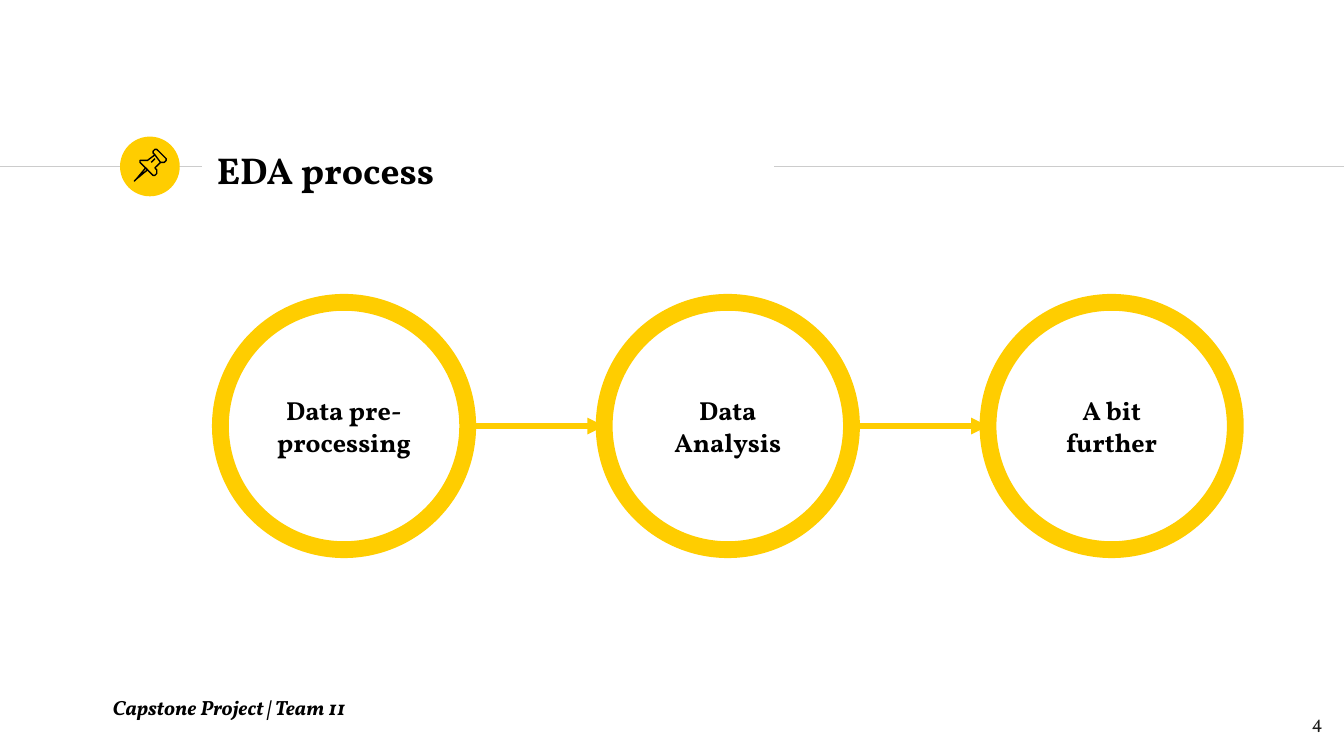
from dataclasses import dataclass

from lxml import etree
from pptx import Presentation
from pptx import util as u
from pptx.dml.color import RGBColor
from pptx.enum import shapes, text
from pptx.oxml.ns import qn

Pt = u.Pt
FONT = "Vollkorn"
COLOURS = {"accent": "FFCD00", "rule": "CCCCCC", "ink": "000000", "number": "1D1D1B"}


@dataclass
class Style:
    size: float
    colour: str = "ink"
    bold: bool = True
    italic: bool = False
    align: text.PP_ALIGN = text.PP_ALIGN.LEFT
    anchor: text.MSO_ANCHOR = text.MSO_ANCHOR.MIDDLE
    space_before: float = 0


@dataclass
class Outline:
    points: list[tuple[float, float]]
    closed: bool = True


def colour(name: str) -> RGBColor:
    return RGBColor.from_string(COLOURS[name])


def write(box, words: str, style: Style) -> None:
    frame = box.text_frame
    frame.word_wrap = True
    frame.auto_size = text.MSO_AUTO_SIZE.NONE
    frame.vertical_anchor = style.anchor
    frame.margin_left = frame.margin_right = Pt(7.2)
    frame.margin_top = frame.margin_bottom = Pt(7.2)
    para = frame.paragraphs[0]
    para.alignment = style.align
    para.space_before = Pt(style.space_before)
    span = para.add_run()
    span.text = words
    span.font.name = FONT
    span.font.size = Pt(style.size)
    span.font.bold = style.bold
    span.font.italic = style.italic
    span.font.color.rgb = colour(style.colour)


def add_text(page, left: float, top: float, width: float, height: float,
             words: str, style: Style) -> None:
    box = page.shapes.add_textbox(Pt(left), Pt(top), Pt(width), Pt(height))
    write(box, words, style)


def add_line(page, start: float, end: float, y: float, name: str,
             weight: float, arrow: bool = False) -> None:
    line = page.shapes.add_connector(
        shapes.MSO_CONNECTOR.STRAIGHT, Pt(start), Pt(y), Pt(end), Pt(y))
    line.line.color.rgb = colour(name)
    line.line.width = Pt(weight)
    if arrow:
        etree.SubElement(line.line._get_or_add_ln(), qn("a:tailEnd"), type="triangle")
    etree.SubElement(line._element.spPr, qn("a:effectLst"))


def add_circle(page, left: float, top: float, size: float):
    circle = page.shapes.add_shape(
        shapes.MSO_SHAPE.OVAL, Pt(left), Pt(top), Pt(size), Pt(size))
    circle.shadow.inherit = False
    return circle


def add_outline(page, outline: Outline) -> None:
    first, *rest = outline.points
    builder = page.shapes.build_freeform(*first, scale=Pt(1))
    builder.add_line_segments(rest, close=outline.closed)
    shape = builder.convert_to_shape()
    shape.shadow.inherit = False
    shape.fill.background()
    shape.line.color.rgb = colour("ink")
    shape.line.width = Pt(0.75)


# Pushpin: needle, cap, body and highlight
PIN = [
    Outline([(77.8, 90), (72.7, 96.5), (72, 97.2), (73.4, 96.5), (79.2, 91.4)]),
    Outline([(82.8, 82.8), (86.4, 87.1), (87.5, 87.1), (88.6, 86.4), (89.3, 85.7),
             (89.3, 85.3), (83.5, 80.3), (82.8, 80.3), (82.1, 81.4), (82.1, 82.1)]),
    Outline([(82.8, 82.8), (79.2, 85.7), (77, 85.5), (74.9, 86.4), (74.9, 87.1),
             (82.1, 94.3), (82.8, 94.3), (83.5, 92.9), (83.5, 91.4), (83.2, 90),
             (86.4, 87.1)], closed=False),
    Outline([(80.6, 87.1), (82.8, 85)], closed=False),
]

# Process steps
STEPS = ["Data pre-processing", "Data Analysis", "A bit further"]
RING_LEFT, RING_TOP, RING_SIZE, RING_PITCH = 118.1, 162, 132.5, 205.6


def main() -> None:
    deck = Presentation()
    deck.slide_width, deck.slide_height = Pt(720), Pt(405)
    page = deck.slides.add_slide(deck.slide_layouts[5])

    # Header: rules, badge, title and pin
    add_line(page, 0, 108, 89.2, "rule", 0.75)
    badge = add_circle(page, 64.3, 73.2, 32)
    badge.fill.solid()
    badge.fill.fore_color.rgb = colour("accent")
    badge.line.fill.background()
    add_line(page, 414.7, 720, 89.2, "rule", 0.75)

    title = page.shapes.title
    title.left, title.top, title.width, title.height = Pt(109), Pt(73.4), Pt(305.3), Pt(34.6)
    write(title, "EDA process", Style(20))
    for outline in PIN:
        add_outline(page, outline)

    # Rings
    lefts = [RING_LEFT + RING_PITCH * i for i in range(len(STEPS))]
    for left, step in zip(lefts, STEPS):
        ring = add_circle(page, left, RING_TOP, RING_SIZE)
        ring.fill.background()
        ring.line.color.rgb = colour("accent")
        ring.line.width = Pt(9)
        write(ring, step, Style(14, align=text.PP_ALIGN.CENTER))

    # Arrows between neighbouring rings
    for left, following in zip(lefts, lefts[1:]):
        add_line(page, left + RING_SIZE, following, RING_TOP + RING_SIZE / 2,
                 "accent", 3, arrow=True)

    # Footer
    top = text.MSO_ANCHOR.TOP
    add_text(page, 672.5, 373.7, 43.2, 31, "4",
             Style(10, "number", bold=False, align=text.PP_ALIGN.RIGHT, anchor=top))
    add_text(page, 53.3, 365, 615.6, 25.9, "Capstone Project | Team 11",
             Style(11, italic=True, anchor=top, space_before=10))

    deck.save("out.pptx")


if __name__ == "__main__":
    main()
